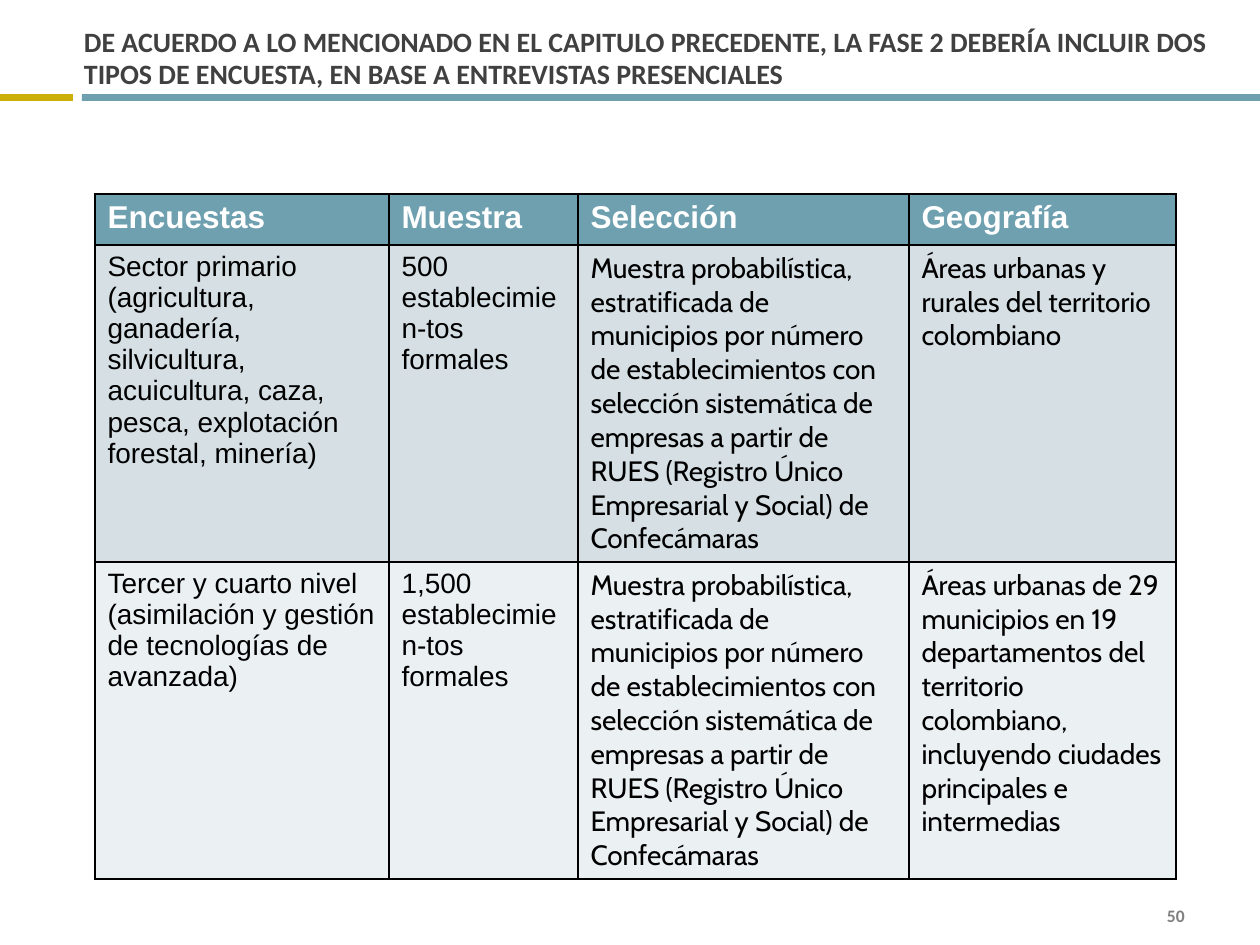
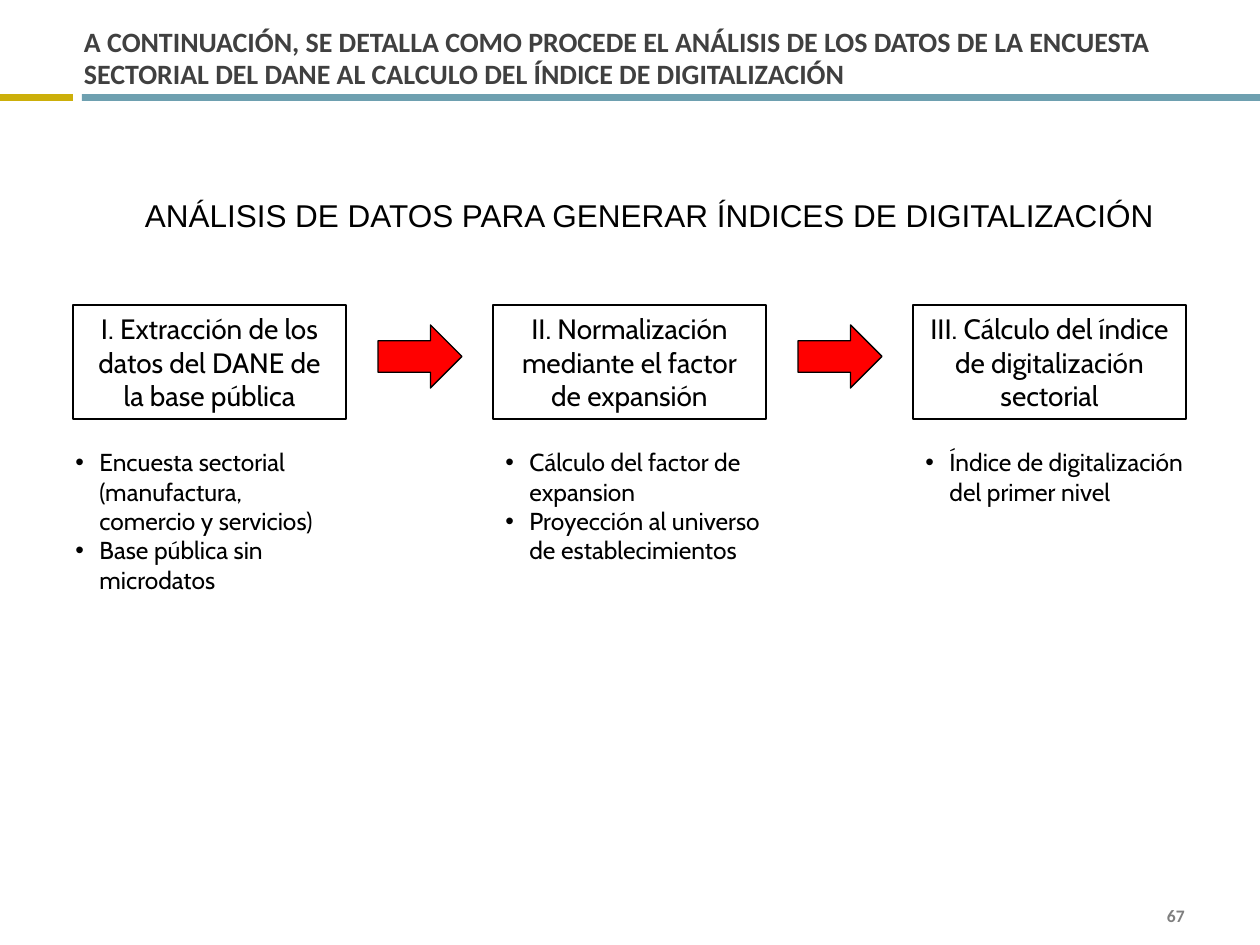
import pptx
import pptx.dml.color
import pptx.enum.shapes
import pptx.enum.text
import pptx.oxml
import pptx.oxml.ns
import pptx.util

PX = 914400 / 126
COLORS = {
    "white": "FFFFFF", "black": "000000", "title": "404040", "number": "7F7F7F",
    "gold": "CCAF0A", "teal": "6EA0B0", "row_dark": "D5DFE4", "row_light": "EBF0F2",
    "arrow": "FF0000",
}
SHAPES = pptx.enum.shapes.MSO_SHAPE
ALIGN = pptx.enum.text.PP_ALIGN
ANCHOR = pptx.enum.text.MSO_ANCHOR
TITLE_ONLY = 5

SELECTION = (
    "Muestra probabilística, estratificada de municipios por número de establecimientos "
    "con selección sistemática de empresas a partir de RUES (Registro Único Empresarial "
    "y Social) de Confecámaras"
)
SURVEYS = [
    ["Encuestas", "Muestra", "Selección", "Geografía"],
    ["Sector primario (agricultura, ganadería, silvicultura, acuicultura, caza, pesca, "
     "explotación forestal, minería)",
     "500 establecimien-tos formales", SELECTION,
     "Áreas urbanas y rurales del territorio colombiano"],
    ["Tercer y cuarto nivel (asimilación y gestión de tecnologías de avanzada)",
     "1,500 establecimien-tos formales", SELECTION,
     "Áreas urbanas de 29 municipios en 19 departamentos del territorio colombiano, "
     "incluyendo ciudades principales e intermedias"],
]
STEPS = [
    ("I. Extracción de los datos del DANE de la base pública",
     ["Encuesta sectorial (manufactura, comercio y servicios)", "Base pública sin microdatos"], -10),
    ("II. Normalización mediante el factor de expansión",
     ["Cálculo del factor de expansion", "Proyección al universo de establecimientos"], 0),
    ("III. Cálculo del índice de digitalización sectorial",
     ["Índice de digitalización del primer nivel"], 0),
]


def px(length):
    """Turn a length in px into EMU."""
    return pptx.util.Emu(round(length * PX))


def place(*box):
    """Turn a box in px into EMU."""
    return [px(length) for length in box]


def rgb(name):
    """Return the named colour."""
    return pptx.dml.color.RGBColor.from_string(COLORS[name])


def write(frame, *lines, size=16, font="Cabin", color="black", bold=False,
          align=ALIGN.LEFT, spacing=None, bullet=False):
    """Fill a text frame with one paragraph per line in a single format."""
    for index, line in enumerate(lines):
        paragraph = frame.add_paragraph() if index else frame.paragraphs[0]
        paragraph.text = line
        paragraph.alignment = align
        if spacing:
            paragraph.line_spacing = pptx.util.Pt(spacing)
        if bullet:
            properties = paragraph._p.get_or_add_pPr()
            properties.set("marL", str(px(24)))
            properties.set("indent", str(px(-24)))
            for tag in ('a:buFont {} typeface="Arial"', 'a:buChar {} char="•"'):
                properties.append(pptx.oxml.parse_xml(
                    f"<{tag.format(pptx.oxml.ns.nsdecls('a'))}/>"))
        paragraph.font.size = pptx.util.Pt(size)
        paragraph.font.name = font
        paragraph.font.bold = bold
        paragraph.font.color.rgb = rgb(color)


def add_text(slide, box, *lines, wrap=True, anchor=ANCHOR.TOP, **style):
    """Add a text box."""
    frame = slide.shapes.add_textbox(*place(*box)).text_frame
    frame.word_wrap = wrap
    frame.vertical_anchor = anchor
    write(frame, *lines, **style)


def add_block(slide, kind, box, fill=None, line=None):
    """Add a preset shape with a plain fill and outline."""
    block = slide.shapes.add_shape(kind, *place(*box))
    block.shadow.inherit = False
    if fill:
        block.fill.solid()
        block.fill.fore_color.rgb = rgb(fill)
    else:
        block.fill.background()
    if line:
        block.line.color.rgb = rgb("black")
        block.line.width = pptx.util.Pt(line)
    else:
        block.line.fill.background()
    return block


def add_page(deck, heading, number):
    """Add a slide with its title, bands and page number."""
    slide = deck.slides.add_slide(deck.slide_layouts[TITLE_ONLY])
    add_block(slide, SHAPES.RECTANGLE, (0, 94, 73, 7), fill="gold")
    add_block(slide, SHAPES.RECTANGLE, (82, 94, 1178, 7), fill="teal")
    title = slide.shapes.title
    title.left, title.top, title.width, title.height = place(84, 10, 1134, 84)
    frame = title.text_frame
    frame.auto_size = pptx.enum.text.MSO_AUTO_SIZE.NONE
    frame.word_wrap = True
    frame.vertical_anchor = ANCHOR.BOTTOM
    frame.margin_left, frame.margin_top, frame.margin_right, frame.margin_bottom = place(0, 6, 0, 4)
    write(frame, heading, font="Calibri", color="title", bold=True, spacing=18)
    add_text(slide, (903, 903, 294, 25), number, anchor=ANCHOR.MIDDLE, size=10,
             font="Calibri", color="number", bold=True, align=ALIGN.RIGHT)
    return slide


def format_cell(cell, fill):
    """Give a table cell black borders and a solid fill."""
    properties = cell._tc.get_or_add_tcPr()
    for side in "LRTB":
        properties.append(pptx.oxml.parse_xml(
            f'<a:ln{side} {pptx.oxml.ns.nsdecls("a")} w="12700"><a:solidFill>'
            f'<a:srgbClr val="{COLORS["black"]}"/></a:solidFill></a:ln{side}>'))
    cell.fill.solid()
    cell.fill.fore_color.rgb = rgb(fill)


def add_survey_table(slide, left, top):
    """Add the table of surveys with its top left corner at the given point."""
    widths, heights = (294, 189, 331, 267), (51, 317, 317)
    fills = ("teal", "row_dark", "row_light")
    table = slide.shapes.add_table(
        len(SURVEYS), len(widths), *place(left, top, sum(widths), sum(heights))).table
    for column, width in zip(table.columns, widths):
        column.width = px(width)
    for row, height, fill, texts in zip(table.rows, heights, fills, SURVEYS):
        row.height = px(height)
        header = fill == "teal"
        for index, (cell, text) in enumerate(zip(row.cells, texts)):
            format_cell(cell, fill)
            write(cell.text_frame, text, size=18 if header else 16, bold=header,
                  color="white" if header else "black",
                  font="Arial" if header or index < 2 else "Cabin")


def add_process(slide, left, top):
    """Add the steps, the arrows between them and the notes below."""
    pitch = 420
    for index, (step, notes, shift) in enumerate(STEPS):
        step_left = left + index * pitch
        block = add_block(slide, SHAPES.RECTANGLE, (step_left, top, 273, 114), line=0.75)
        block.text_frame.word_wrap = True
        write(block.text_frame, step, align=ALIGN.CENTER)
        add_text(slide, (step_left + shift, top + 136, 284, 161), *notes, size=14, bullet=True)
        if index < len(STEPS) - 1:
            add_block(slide, SHAPES.RIGHT_ARROW, (step_left + 305, top + 20, 84, 63),
                      fill="arrow", line=0.79)


def main():
    """Build and save the presentation."""
    deck = pptx.Presentation()
    deck.slide_width, deck.slide_height = place(1260, 945)
    surveys = add_page(
        deck, "DE ACUERDO A LO MENCIONADO EN EL CAPITULO PRECEDENTE, LA FASE 2 DEBERÍA INCLUIR "
        "DOS TIPOS DE ENCUESTA, EN BASE A ENTREVISTAS PRESENCIALES", "50")
    add_survey_table(surveys, 95, 194)
    analysis = add_page(
        deck, "A CONTINUACIÓN, SE DETALLA COMO PROCEDE EL ANÁLISIS DE LOS DATOS DE LA ENCUESTA "
        "SECTORIAL DEL DANE AL CALCULO DEL ÍNDICE DE DIGITALIZACIÓN", "67")
    add_text(analysis, (116, 190, 1067, 50),
             "ANÁLISIS DE DATOS PARA GENERAR ÍNDICES DE DIGITALIZACIÓN",
             wrap=False, size=18, font="Arial", align=ALIGN.CENTER)
    add_process(analysis, 73, 305)
    deck.save("out.pptx")


if __name__ == "__main__":
    main()
